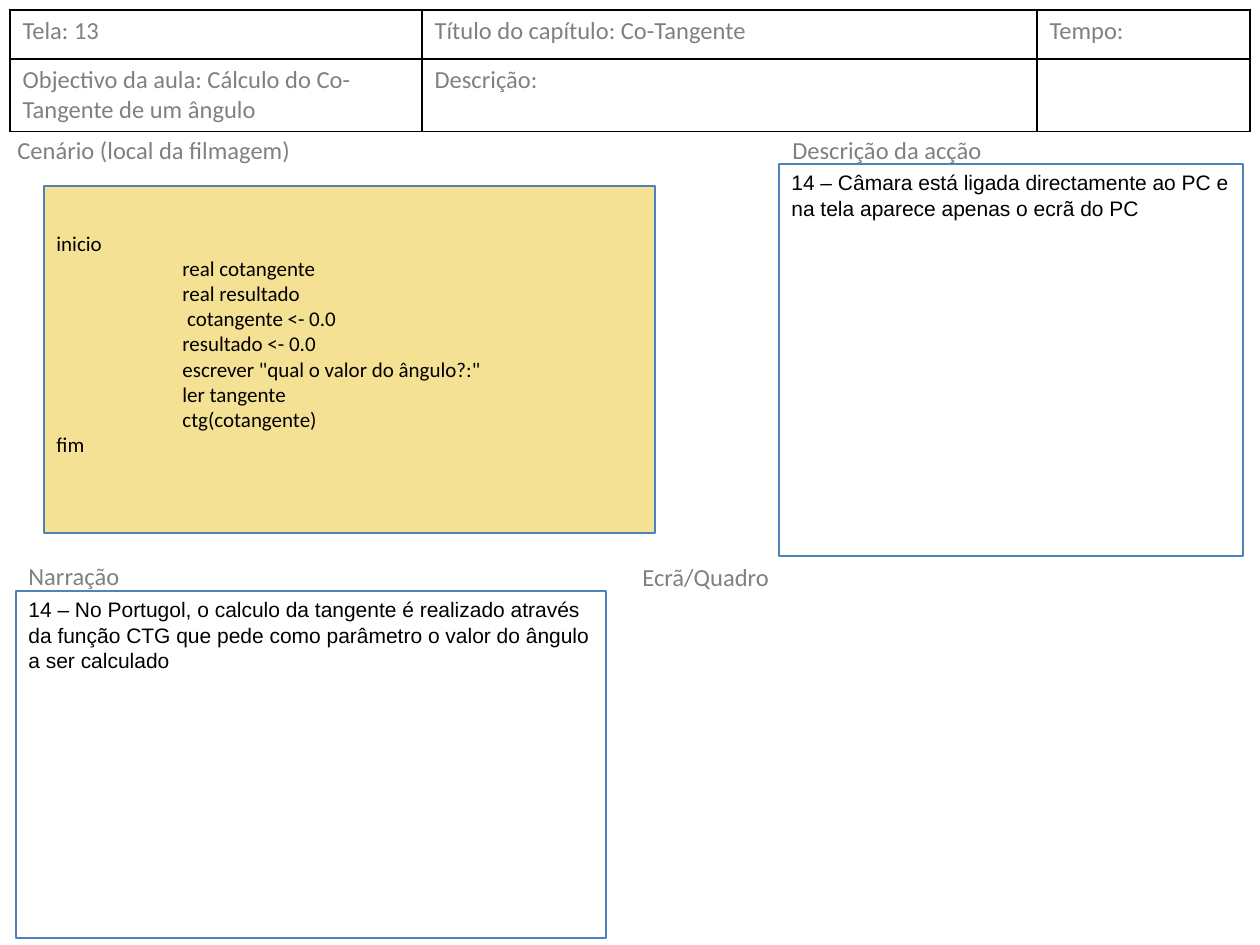
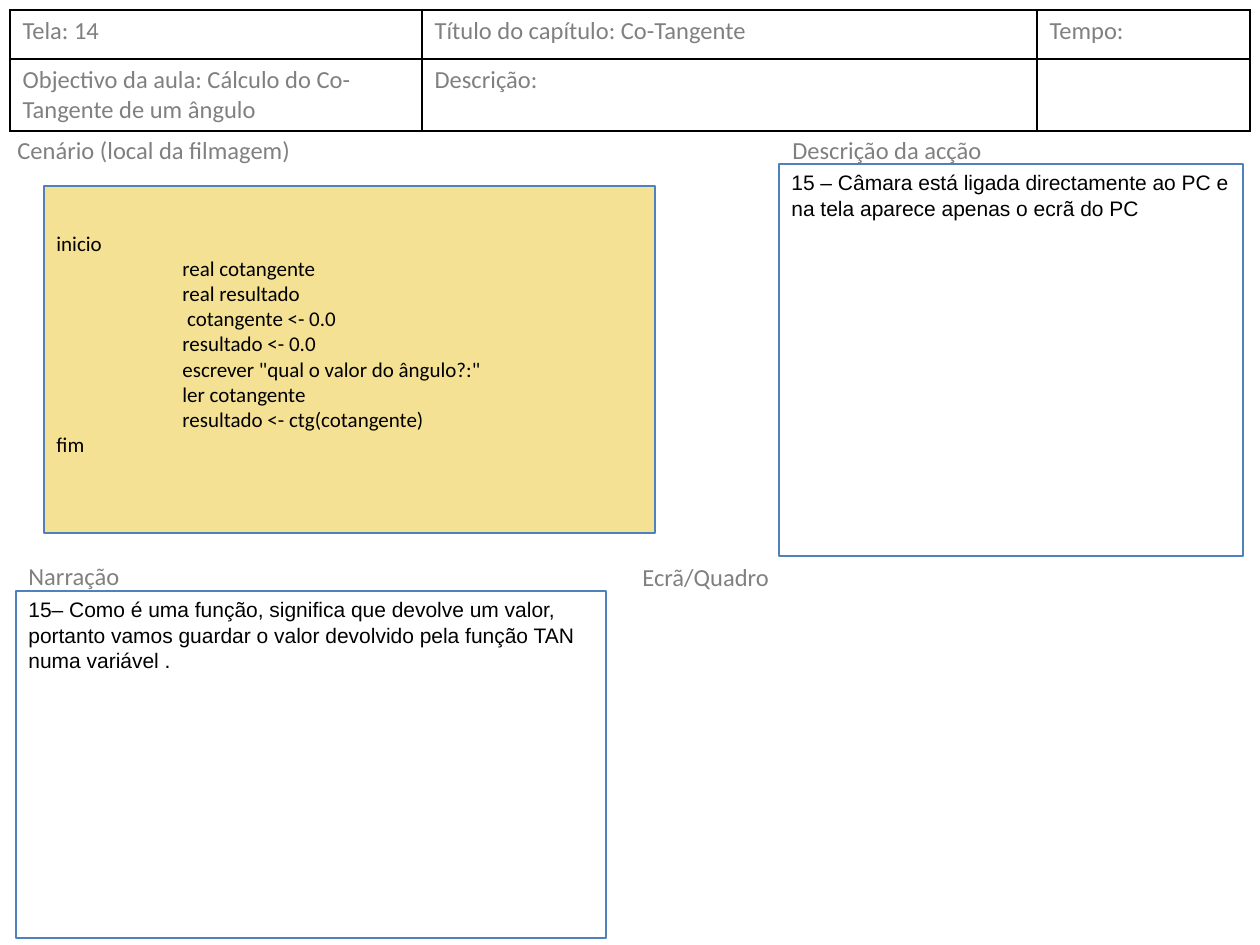
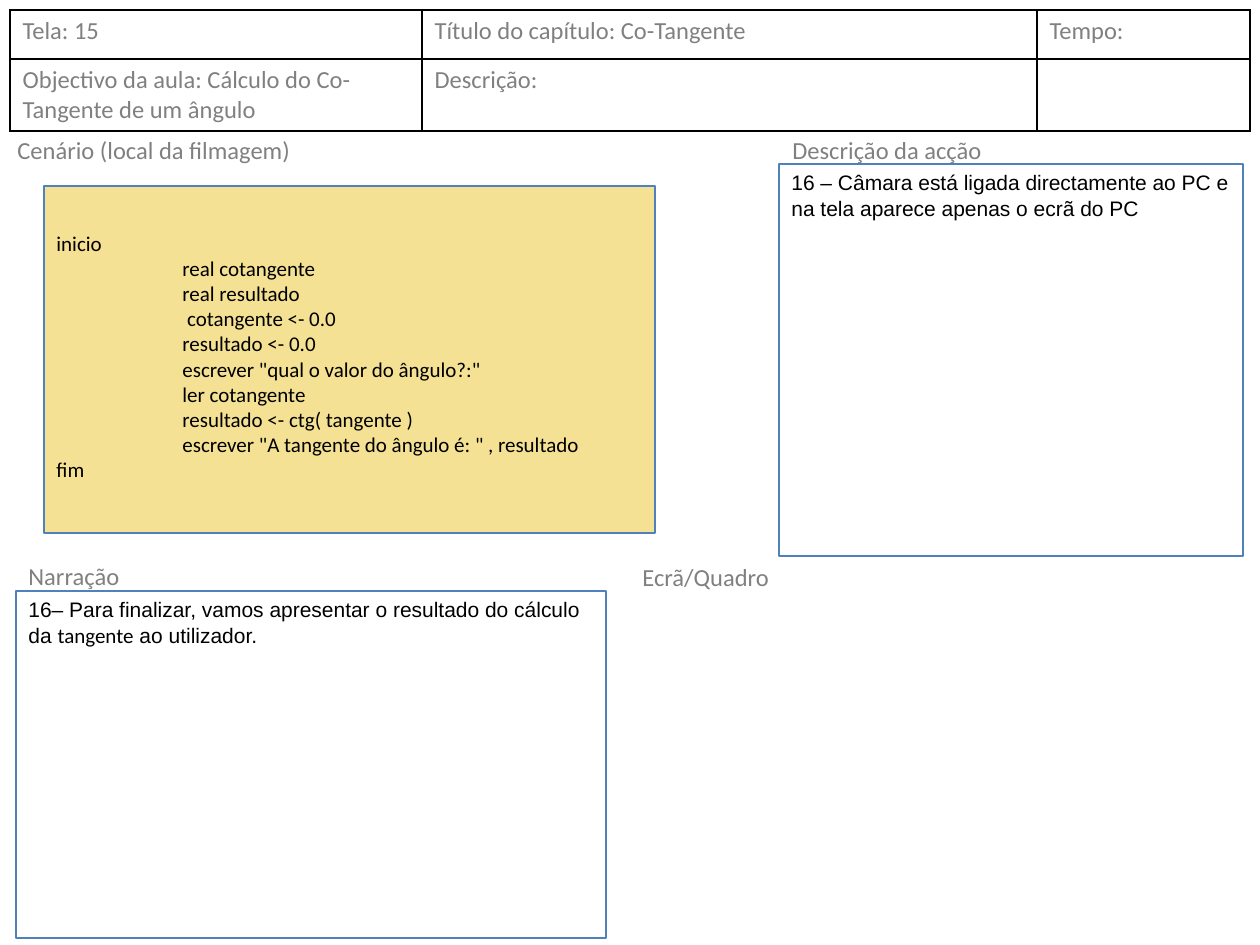
from lxml.etree import SubElement
from pptx import Presentation
from pptx.dml.color import RGBColor
from pptx.enum.shapes import MSO_SHAPE as Shape
from pptx.enum.text import MSO_ANCHOR as Anchor
from pptx.oxml.ns import qn
from pptx.util import Pt

# Content
OBJECTIVE = "Objectivo da aula: Cálculo do Co-Tangente de um ângulo"
CHAPTER = "Título do capítulo: Co-Tangente"
ACTION = "Câmara está ligada directamente ao PC e na tela aparece apenas o ecrã do PC"
DECLARATIONS = ["real cotangente", "real resultado", " cotangente <- 0.0",
                "resultado <- 0.0", 'escrever "qual o valor do ângulo?:"']

# Each narration is a list of (text, font) spans
SCREENS = [
    {"number": 13,
     "code": ["ler tangente", "ctg(cotangente)"],
     "narration": [("14 – No Portugol, o calculo da tangente é realizado através da função "
                    "CTG que pede como parâmetro o valor do ângulo a ser calculado", "Arial")]},
    {"number": 14,
     "code": ["ler cotangente", "resultado <- ctg(cotangente)"],
     "narration": [("15– Como é uma função, significa que devolve um valor, portanto vamos "
                    "guardar o valor devolvido pela função TAN numa variável .", "Arial")]},
    {"number": 15,
     "code": ["ler cotangente", "resultado <- ctg( tangente )",
              'escrever "A tangente do ângulo é: " , resultado'],
     "narration": [("16– Para finalizar, vamos apresentar o resultado do cálculo da ", "Arial"),
                   ("tangente", "Calibri"), (" ao utilizador.", "Arial")]},
]

# Shared look and places: left, top, width, height in px
PX_PER_INCH = 126
BLACK, GREY, BLUE, SAND = "000000", "808080", "4F81BD", "F4E193"
LABELS = [
    ("Cenário (local da filmagem)", (5, 129, 525, 42)),
    ("Descrição da acção", (780, 129, 318, 42)),
    ("Narração", (16, 555, 585, 42)),
    ("Ecrã/Quadro", (630, 556, 585, 42)),
]
NARRATION_BOX = (16, 591, 590, 347)
CODE_BOX = (44, 186, 611, 347)
ACTION_BOX = (779, 164, 464, 392)
HEADER_AT = (10, 10)
HEADER_COLUMNS = (412, 615, 213)
HEADER_ROWS = (49, 72)
CODE_TOP, CODE_INDENT = 44, 126


def px(length):
    return round(length * 914400 / PX_PER_INCH)


def place(box):
    return [px(length) for length in box]


def colour(value):
    return RGBColor.from_string(value)


def write(para, text, font="Calibri", size=14, ink=GREY):
    span = para.add_run()
    span.text = text
    for name, value in {"name": font, "size": Pt(size)}.items():
        setattr(span.font, name, value)
    span.font.color.rgb = colour(ink)


def add_border(cell):
    properties = cell._tc.get_or_add_tcPr()
    for index, side in enumerate(("lnL", "lnR", "lnT", "lnB")):
        line = SubElement(properties, qn(f"a:{side}"), w=str(Pt(1)))
        fill = SubElement(line, qn("a:solidFill"))
        SubElement(fill, qn("a:srgbClr"), val=BLACK)
        properties.insert(index, line)


def add_header(page, number):
    rows = [(f"Tela: {number}", CHAPTER, "Tempo:"), (OBJECTIVE, "Descrição:", "")]
    size = (sum(HEADER_COLUMNS), sum(HEADER_ROWS))
    table = page.shapes.add_table(len(HEADER_ROWS), len(HEADER_COLUMNS),
                                  *place(HEADER_AT + size)).table
    for name in ("first_row", "horz_banding"):
        setattr(table, name, False)
    for column, width in zip(table.columns, HEADER_COLUMNS):
        column.width = px(width)
    for row, height, texts in zip(table.rows, HEADER_ROWS, rows):
        row.height = px(height)
        for cell, text in zip(row.cells, texts):
            cell.fill.background()
            add_border(cell)
            if text:
                write(cell.text_frame.paragraphs[0], text)


def add_label(page, text, box):
    frame = page.shapes.add_textbox(*place(box)).text_frame
    frame.word_wrap = True
    write(frame.paragraphs[0], text)


def add_panel(page, box, paragraphs, fill=None, top=6):
    """Draw a framed panel; each paragraph is (indent, spans)."""
    panel = page.shapes.add_shape(Shape.RECTANGLE, *place(box))
    panel.shadow.inherit = False
    if fill:
        panel.fill.solid()
        panel.fill.fore_color.rgb = colour(fill)
    else:
        panel.fill.background()
    panel.line.color.rgb = colour(BLUE)
    panel.line.width = Pt(0.75)
    frame = panel.text_frame
    layout = {"word_wrap": True, "vertical_anchor": Anchor.TOP, "margin_top": px(top)}
    for name, value in layout.items():
        setattr(frame, name, value)
    for index, (indent, spans) in enumerate(paragraphs):
        para = frame.add_paragraph() if index else frame.paragraphs[0]
        properties = para._p.get_or_add_pPr()
        for name, value in {"algn": "l", "marL": px(indent), "indent": 0}.items():
            properties.set(name, str(value))
        for text, font in spans:
            write(para, text, font, 12, BLACK)


def code_paragraphs(lines):
    body = [(CODE_INDENT, line) for line in DECLARATIONS + lines]
    return [(indent, [(line, "Calibri")])
            for indent, line in [(0, "inicio"), *body, (0, "fim")]]


def add_screen(deck, screen):
    page = deck.slides.add_slide(deck.slide_layouts[6])
    add_header(page, screen["number"])
    add_panel(page, NARRATION_BOX, [(0, screen["narration"])])
    add_panel(page, CODE_BOX, code_paragraphs(screen["code"]), SAND, CODE_TOP)
    action = f"{screen['number'] + 1} – {ACTION}"
    add_panel(page, ACTION_BOX, [(0, [(action, "Arial")])])
    for text, box in LABELS:
        add_label(page, text, box)


def main():
    deck = Presentation()
    deck.slide_width, deck.slide_height = px(1260), px(945)
    for screen in SCREENS:
        add_screen(deck, screen)
    deck.save("out.pptx")


if __name__ == "__main__":
    main()
